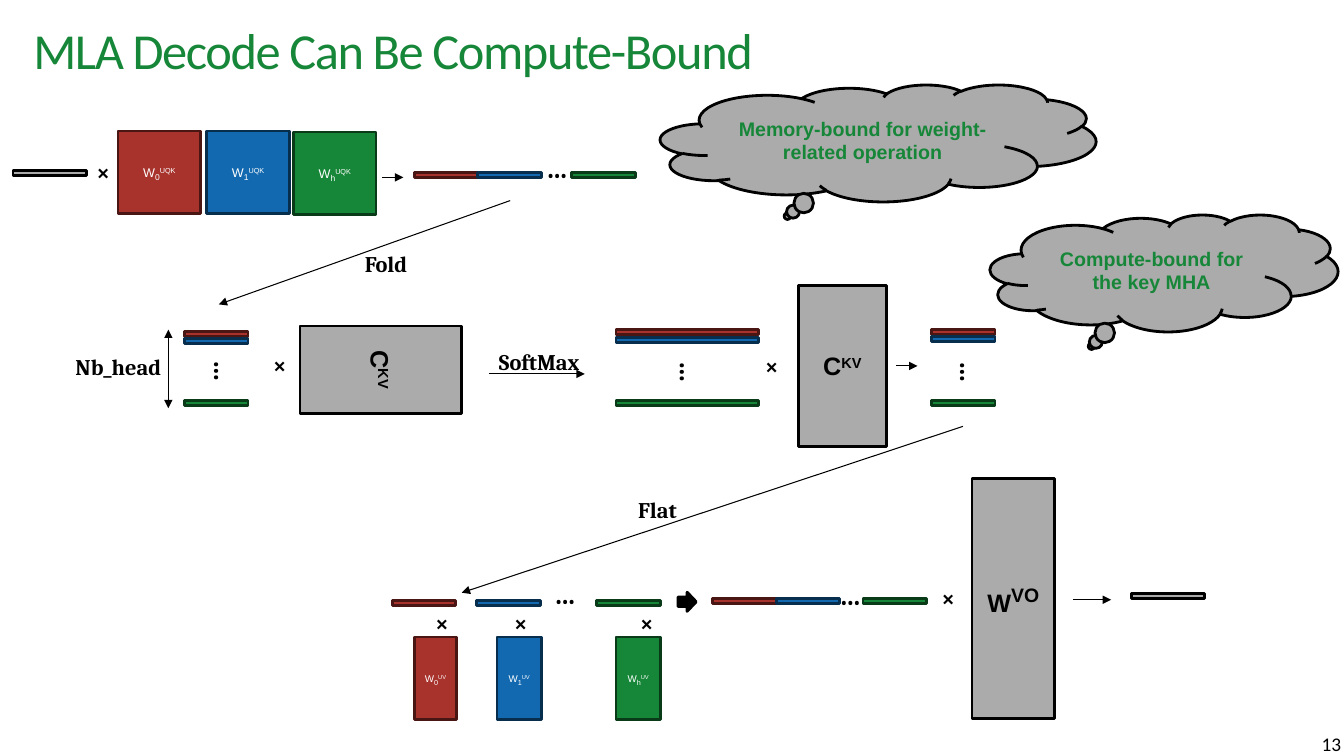
import pptx
import pptx.util
import pptx.dml.color
import pptx.enum.shapes
import pptx.enum.text
import pptx.oxml.ns
from lxml import etree

Inches = pptx.util.Inches
Pt = pptx.util.Pt
SHAPE = pptx.enum.shapes.MSO_SHAPE
ALIGN = pptx.enum.text.PP_ALIGN
ANCHOR = pptx.enum.text.MSO_ANCHOR

COLORS = {
    "red": "A8322C", "red edge": "4A1613",
    "blue": "1269B0", "blue edge": "082E4D",
    "green": "168638", "green edge": "0A3B19",
    "gray": "ABABAB", "gray edge": "000000",
    "black": "000000", "black edge": "000000",
    "white": "FFFFFF",
}
HEADS = ("red", "blue", "green")
HEAD_INDEX = {"red": "0", "blue": "1", "green": "h"}
HEAD_WIDTH = 0.63


def rgb(color):
    return pptx.dml.color.RGBColor.from_string(COLORS[color])


class Diagram:
    def __init__(self, slide):
        self.slide = slide

    def style(self, font, size, color, name="Arial", bold=False):
        font.name = name
        font.size = Pt(size)
        font.bold = bold
        font.color.rgb = rgb(color)

    def title(self, text):
        title = self.slide.shapes.title
        title.left, title.top = Inches(0.33), Inches(0.19)
        title.width, title.height = Inches(12.73), Inches(0.68)
        frame = title.text_frame
        frame.margin_left = frame.margin_right = 0
        frame.margin_top = frame.margin_bottom = 0
        frame.auto_size = pptx.enum.text.MSO_AUTO_SIZE.NONE
        frame.vertical_anchor = ANCHOR.MIDDLE
        paragraph = frame.paragraphs[0]
        paragraph.alignment = ALIGN.LEFT
        paragraph.line_spacing = 0.9
        run = paragraph.add_run()
        run.text = text
        run.font._element.set("spc", "-100")
        self.style(paragraph.font, 36, "green", "Calibri")

    def label(self, text, left, top, width=1.41, height=0.37, size=16,
              name="Cambria", bold=True, rotation=0):
        box = self.slide.shapes.add_textbox(
            Inches(left), Inches(top), Inches(width), Inches(height))
        box.rotation = rotation
        box.text_frame.word_wrap = True
        paragraph = box.text_frame.paragraphs[0]
        paragraph.text = text
        self.style(paragraph.font, size, "black", name, bold)
        return box

    def times(self, left, top):
        self.label("×", left, top, 0.32)

    def dots(self, left, top, rotation=0):
        self.label("…", left, top, 0.48, 0.44, 20, rotation=rotation)

    def block(self, color, left, top, width, height, kind=SHAPE.RECTANGLE, rotation=0):
        shape = self.slide.shapes.add_shape(
            kind, Inches(left), Inches(top), Inches(width), Inches(height))
        shape.shadow.inherit = False
        shape.rotation = rotation
        shape.fill.solid()
        shape.fill.fore_color.rgb = rgb(color)
        shape.line.color.rgb = rgb(color + " edge")
        shape.line.width = Pt(2)
        return shape

    def matrix(self, color, left, top, width, height, parts, text_color, bold, rotation=0):
        frame = self.block(color, left, top, width, height, rotation=rotation).text_frame
        frame.word_wrap = False
        frame.vertical_anchor = ANCHOR.MIDDLE
        paragraph = frame.paragraphs[0]
        paragraph.alignment = ALIGN.CENTER
        for text, size, baseline in parts:
            run = paragraph.add_run()
            run.text = text
            self.style(run.font, size, text_color, bold=bold)
            if baseline:
                run.font._element.set("baseline", str(baseline * 1000))

    def head_weight(self, color, left, top, width, suffix, size, index_size):
        parts = [("W", size, 0), (HEAD_INDEX[color], index_size, -25), (suffix, size, 30)]
        self.matrix(color, left, top, width, 0.82, parts, "white", False)

    def vector(self, color, left, top, width=HEAD_WIDTH):
        self.block(color, left, top, width, 0.05)

    def flat_heads(self, left, top, last_left):
        for color, head_left in zip(HEADS, (left, left + HEAD_WIDTH, last_left)):
            self.vector(color, head_left, top)

    def stacked_heads(self, left, tops, dots_left, dots_top, width=HEAD_WIDTH):
        for color, top in zip(HEADS, tops):
            self.vector(color, left, top, width)
        self.dots(dots_left, dots_top, 90)

    def arrow(self, x1, y1, x2, y2, ends=("tailEnd",)):
        line = self.slide.shapes.add_connector(
            pptx.enum.shapes.MSO_CONNECTOR.STRAIGHT,
            Inches(x1), Inches(y1), Inches(x2), Inches(y2))
        line.line.color.rgb = rgb("black")
        line.line.width = Pt(0.75)
        outline = line.line._get_or_add_ln()
        for end in ends:
            etree.SubElement(outline, pptx.oxml.ns.qn("a:" + end), type="triangle")
        etree.SubElement(line._element.spPr, pptx.oxml.ns.qn("a:effectLst"))

    def cloud(self, text, left, top, width):
        frame = self.block("gray", left, top, width, 1.16, SHAPE.CLOUD_CALLOUT).text_frame
        frame.word_wrap = True
        frame.vertical_anchor = ANCHOR.MIDDLE
        paragraph = frame.paragraphs[0]
        paragraph.text = text
        paragraph.alignment = ALIGN.CENTER
        self.style(paragraph.font, 14, "green", bold=True)


def main():
    deck = pptx.Presentation()
    deck.slide_width, deck.slide_height = Inches(13.33), Inches(7.5)
    diagram = Diagram(deck.slides.add_slide(deck.slide_layouts[5]))
    diagram.title("MLA Decode Can Be Compute-Bound")

    diagram.vector("gray", 0.13, 1.69, 0.73)
    diagram.times(0.86, 1.52)
    for color, left, top in zip(HEADS, (1.17, 2.05, 2.91), (1.3, 1.3, 1.31)):
        diagram.head_weight(color, left, top, 0.82, "UQK", 9, 10.5)
    diagram.arrow(3.79, 1.76, 4, 1.76)
    diagram.flat_heads(4.11, 1.71, 5.67)
    diagram.dots(5.32, 1.44)

    diagram.arrow(5.06, 1.99, 2.17, 3.02)
    diagram.label("Fold", 3.52, 2.43)

    latent = [("C", 18, 0), ("KV", 18, 30)]
    diagram.label("Nb_head", 0.65, 3.45)
    diagram.arrow(1.67, 3.27, 1.67, 4.05, ("headEnd", "tailEnd"))
    diagram.stacked_heads(1.83, (3.29, 3.36, 3.97), 1.99, 3.5)
    diagram.times(2.61, 3.43)
    diagram.matrix("gray", 3.34, 2.87, 0.87, 1.6, latent, "black", True, 90)
    diagram.arrow(4.85, 3.71, 5.8, 3.71)
    diagram.label("SoftMax", 4.85, 3.4)
    diagram.stacked_heads(6.11, (3.27, 3.35, 3.97), 6.61, 3.51, 1.41)
    diagram.times(7.49, 3.44)
    diagram.matrix("gray", 7.92, 2.83, 0.87, 1.6, latent, "black", True)
    diagram.arrow(8.89, 3.63, 9.1, 3.63)
    diagram.stacked_heads(9.24, (3.27, 3.34, 3.97), 9.39, 3.51)

    diagram.arrow(9.55, 4.23, 4.58, 5.88)
    diagram.label("Flat", 6.23, 4.87)

    value_columns = zip(HEADS, (3.89, 4.73, 5.92), (4.22, 5, 6.25),
                        (4.11, 4.93, 6.11), (0.42, 0.44, 0.44))
    for color, head_left, times_left, weight_left, weight_width in value_columns:
        diagram.vector(color, head_left, 5.96)
        diagram.times(times_left, 5.99)
        diagram.head_weight(color, weight_left, 6.32, weight_width, "UV", 7, 9)
    diagram.dots(5.4, 5.67)
    diagram.block("black", 6.72, 5.88, 0.19, 0.18, SHAPE.DOWN_ARROW, 270)
    diagram.flat_heads(7.07, 5.94, 8.56)
    diagram.dots(8.23, 5.68)
    diagram.times(9.24, 5.75)
    diagram.matrix("gray", 9.64, 4.75, 0.82, 2.38,
                   [("W", 18, 0), ("VO", 24, 30)], "black", True)
    diagram.arrow(10.64, 5.95, 11.02, 5.95)
    diagram.vector("gray", 11.22, 5.89, 0.73)

    diagram.cloud("Memory-bound for weight-related operation", 6.55, 0.84, 4.32)
    diagram.cloud("Compute-bound for the key MHA", 9.82, 2.13, 3.45)

    page_number = diagram.label("13", 12.47, 7.2, 0.93, 0.34, 13.8, "Calibri", False)
    page_number.text_frame.vertical_anchor = ANCHOR.BOTTOM
    page_number.text_frame.paragraphs[0].alignment = ALIGN.RIGHT
    deck.save("out.pptx")


if __name__ == "__main__":
    main()
